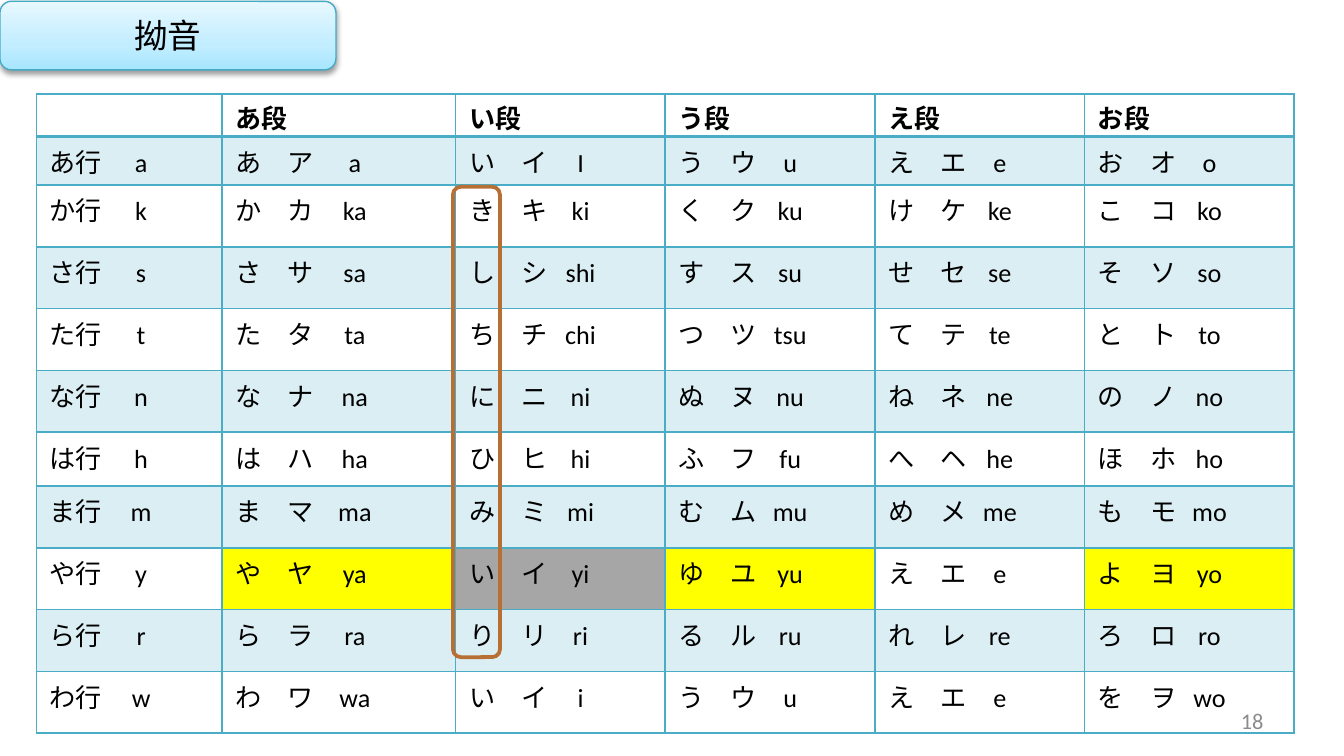
from lxml import etree
from pptx import Presentation
from pptx.dml.color import RGBColor
from pptx.enum.shapes import MSO_SHAPE
from pptx.enum.text import MSO_ANCHOR, PP_ALIGN
from pptx.oxml import parse_xml
from pptx.oxml.ns import nsdecls, qn
from pptx.util import Inches, Pt

ROUNDED = MSO_SHAPE.ROUNDED_RECTANGLE
MIDDLE = MSO_ANCHOR.MIDDLE
LEFT, CENTER, RIGHT = PP_ALIGN.LEFT, PP_ALIGN.CENTER, PP_ALIGN.RIGHT

FONT = "Calibri"
TEAL, YELLOW, GRAY = "4BACC6", "FFFF00", "A6A6A6"

TITLE = "拗音"
PAGE_NUMBER = "18"
HEADERS = ["", "あ段", "い段", "う段", "え段", "お段"]
# Each cell holds kana followed by its reading in Latin letters.
SOUNDS = [
    ["あ行 a", "あ ア a", "い イ I", "う ウ u", "え エ e", "お オ o"],
    ["か行 k", "か カ ka", "き キ ki", "く ク ku", "け ケ ke", "こ コ ko"],
    ["さ行 s", "さ サ sa", "し シ shi", "す ス su", "せ セ se", "そ ソ so"],
    ["た行 t", "た タ ta", "ち チ chi", "つ ツ tsu", "て テ te", "と ト to"],
    ["な行 n", "な ナ na", "に ニ ni", "ぬ ヌ nu", "ね ネ ne", "の ノ no"],
    ["は行 h", "は ハ ha", "ひ ヒ hi", "ふ フ fu", "へ ヘ he", "ほ ホ ho"],
    ["ま行 m", "ま マ ma", "み ミ mi", "む ム mu", "め メ me", "も モ mo"],
    ["や行 y", "や ヤ ya", "い イ yi", "ゆ ユ yu", "え エ e", "よ ヨ yo"],
    ["ら行 r", "ら ラ ra", "り リ ri", "る ル ru", "れ レ re", "ろ ロ ro"],
    ["わ行 w", "わ ワ wa", "い イ i", "う ウ u", "え エ e", "を ヲ wo"],
]
HIGHLIGHTS = {(8, 1): YELLOW, (8, 2): GRAY, (8, 3): YELLOW, (8, 5): YELLOW}
COLUMN_WIDTHS = [1.38, 1.74] + [1.56] * 4
ROW_HEIGHTS = [0.3, 0.36] + [0.46] * 4 + [0.4] + [0.46] * 4
READING_TABS = [0.68, 0.89] + [0.83] * 4
TITLE_GRADIENT = [(0, "A7E6FF"), (35, "C1EDFF"), (100, "E7F8FF")]


def color(hex_value):
    return RGBColor.from_string(hex_value)


def write(frame, text, size=14, ink="000000", bold=False, align=LEFT, tab=None):
    """Fill a frame's first paragraph; tab is a centred tab stop in inches."""
    frame.word_wrap = True
    paragraph = frame.paragraphs[0]
    paragraph.alignment = align
    if tab:
        properties = paragraph._p.get_or_add_pPr()
        tabs = etree.SubElement(properties, qn("a:tabLst"))
        etree.SubElement(tabs, qn("a:tab"), pos=str(Inches(tab)), algn="ctr")
    run = paragraph.add_run()
    run.text = text
    run.font.name = FONT
    run.font.size = Pt(size)
    run.font.bold = bold
    run.font.color.rgb = color(ink)


def add_rounded(slide, left, top, width, height):
    return slide.shapes.add_shape(ROUNDED, Inches(left), Inches(top),
                                  Inches(width), Inches(height))


def outline(shape, hex_value, width):
    shape.line.color.rgb = color(hex_value)
    shape.line.width = Pt(width)


def fill_cell(cell, hex_value, opacity=100):
    cell.fill.solid()
    cell.fill.fore_color.rgb = color(hex_value)
    if opacity < 100:
        value = cell._tc.tcPr.find(".//" + qn("a:srgbClr"))
        etree.SubElement(value, qn("a:alpha"), val=str(opacity * 1000))


def border_cell(cell, top, bottom):
    """Add borders, which must come before the fill in the cell's properties."""
    sides = {"lnL": 1, "lnR": 1, "lnT": top, "lnB": bottom}
    for index, (side, width) in enumerate(sides.items()):
        cell._tc.get_or_add_tcPr().insert(index, parse_xml(
            f'<a:{side} {nsdecls("a")} w="{Pt(width)}"><a:solidFill>'
            f'<a:srgbClr val="{TEAL}"/></a:solidFill></a:{side}>'))


def add_title(slide):
    title = add_rounded(slide, 0, 0.01, 2.5, 0.51)
    stops = "".join(f'<a:gs pos="{position * 1000}"><a:srgbClr val="{value}"/></a:gs>'
                    for position, value in TITLE_GRADIENT)
    properties = title._element.spPr
    properties.append(parse_xml(
        f'<a:gradFill {nsdecls("a")} rotWithShape="1"><a:gsLst>{stops}</a:gsLst>'
        '<a:lin ang="16200000" scaled="0"/></a:gradFill>'))
    outline(title, "46AAC5", 0.75)
    properties.append(parse_xml(
        f'<a:effectLst {nsdecls("a")}><a:outerShdw blurRad="{Pt(3.1)}" '
        f'dist="{Pt(1.6)}" dir="5400000" rotWithShape="0"><a:srgbClr val="000000">'
        '<a:alpha val="38000"/></a:srgbClr></a:outerShdw></a:effectLst>'))
    title.text_frame.vertical_anchor = MIDDLE
    write(title.text_frame, TITLE, size=18, align=CENTER)


def add_sound_table(slide):
    rows = [HEADERS] + SOUNDS
    table = slide.shapes.add_table(
        len(rows), len(HEADERS), Inches(0.27), Inches(0.7),
        Inches(sum(COLUMN_WIDTHS)), Inches(sum(ROW_HEIGHTS))).table
    table.horz_banding = False
    for column, width in zip(table.columns, COLUMN_WIDTHS):
        column.width = Inches(width)
    for row_index, (values, height) in enumerate(zip(rows, ROW_HEIGHTS)):
        is_header = row_index == 0
        table.rows[row_index].height = Inches(height)
        for column_index, value in enumerate(values):
            cell = table.cell(row_index, column_index)
            cell.margin_left = cell.margin_right = Inches(0.1)
            cell.margin_top = Inches(0.03 if is_header else 0.04)
            cell.margin_bottom = Inches(0 if is_header else 0.04)
            if is_header:
                write(cell.text_frame, value, bold=True)
            else:
                *kana, reading = value.split()
                write(cell.text_frame, "　".join(kana) + "\t" + reading,
                      tab=READING_TABS[column_index])
            if (row_index, column_index) in HIGHLIGHTS:
                fill_cell(cell, HIGHLIGHTS[row_index, column_index])
            elif row_index % 2:
                fill_cell(cell, TEAL, opacity=20)
            else:
                cell.fill.background()
            border_cell(cell, top=2 if row_index == 1 else 1,
                        bottom=2 if is_header else 1)


def add_i_column_frame(slide):
    frame = add_rounded(slide, 3.37, 1.39, 0.35, 3.5)
    frame.shadow.inherit = False
    frame.fill.background()
    outline(frame, "B76F34", 2)


def add_page_number(slide):
    box = slide.shapes.add_textbox(Inches(7.17), Inches(5.21),
                                   Inches(2.33), Inches(0.3))
    box.text_frame.vertical_anchor = MIDDLE
    write(box.text_frame, PAGE_NUMBER, size=12, ink="8C8C8C", align=RIGHT)


def main():
    presentation = Presentation()
    presentation.slide_width = Inches(10)
    presentation.slide_height = Inches(10 * 9 / 16)
    slide = presentation.slides.add_slide(presentation.slide_layouts[6])
    add_sound_table(slide)
    add_title(slide)
    add_i_column_frame(slide)
    add_page_number(slide)
    presentation.save("out.pptx")


if __name__ == "__main__":
    main()
